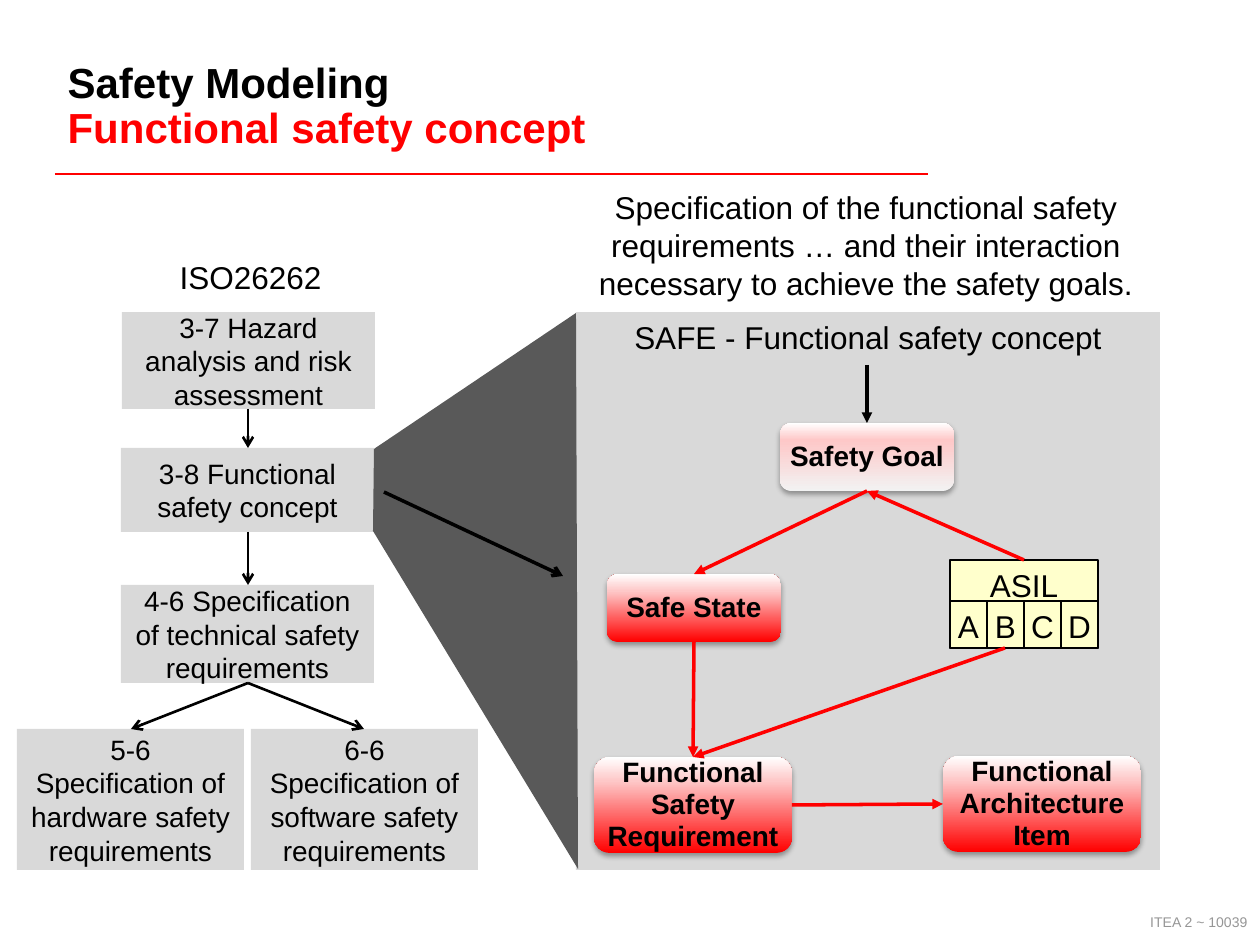
from lxml import etree
from pptx import Presentation
from pptx.dml.color import RGBColor
from pptx.enum.shapes import MSO_CONNECTOR, MSO_SHAPE
from pptx.enum.text import MSO_ANCHOR, PP_ALIGN
from pptx.oxml import parse_xml
from pptx.oxml.ns import qn
from pptx.util import Emu, Pt

RECT, ROUNDED = MSO_SHAPE.RECTANGLE, MSO_SHAPE.ROUNDED_RECTANGLE
STRAIGHT = MSO_CONNECTOR.STRAIGHT
TOP, MIDDLE, BOTTOM = MSO_ANCHOR.TOP, MSO_ANCHOR.MIDDLE, MSO_ANCHOR.BOTTOM
LEFT, CENTER, RIGHT = PP_ALIGN.LEFT, PP_ALIGN.CENTER, PP_ALIGN.RIGHT
DRAWING_NS = "http://schemas.openxmlformats.org/drawingml/2006/main"
PX = 914400 / 126  # EMU per px

THEME = {
    "font": "Arial",
    "black": "000000", "red": "FF0000", "panel": "D9D9D9", "beam": "595959",
    "asil": "FFFFCC", "footer": "969696", "pale": "F2F2F2", "pink": "FEC8C8", "white": "FFFFFF",
    "title": 24, "heading": 18, "label": 16, "small": 8,
}


def add_box(kind, place, text, size, fill=None, line=None, color="black",
            anchor=MIDDLE, align=CENTER, bold=False, wrap=True):
    """Add a shape, or a text box when kind is None, holding one run of text."""
    frame = [Emu(round(v * PX)) for v in place]
    if kind is None:
        box = page.shapes.add_textbox(*frame)
    else:
        box = page.shapes.add_shape(kind, *frame)
        box.shadow.inherit = False
        if fill:
            box.fill.solid()
            box.fill.fore_color.rgb = RGBColor.from_string(THEME[fill])
        if line:
            box.line.color.rgb = RGBColor.from_string(THEME[line])
            box.line.width = Pt(0.75)
        else:
            box.line.fill.background()
    box.text_frame.word_wrap = wrap
    box.text_frame.vertical_anchor = anchor
    para = box.text_frame.paragraphs[0]
    para.alignment = align
    span = para.add_run()
    span.text = text
    span.font.name, span.font.size, span.font.bold = THEME["font"], Pt(THEME[size]), bold
    span.font.color.rgb = RGBColor.from_string(THEME[color])
    return box


def add_line(start, end, color, width, head=None):
    """Add a straight line, with an arrowhead at its end when head is given."""
    line = page.shapes.add_connector(STRAIGHT, *[Emu(round(v * PX)) for v in start + end])
    line.line.color.rgb = RGBColor.from_string(THEME[color])
    line.line.width = Pt(width)
    if head:
        etree.SubElement(line.line._get_or_add_ln(), qn("a:tailEnd"), type=head)
    etree.SubElement(line._element.spPr, qn("a:effectLst"))


deck = Presentation()
deck.slide_width, deck.slide_height = Emu(round(1260 * PX)), Emu(round(945 * PX))
page = deck.slides.add_slide(deck.slide_layouts[5])

# Title, rule and footer
title = page.shapes.title
title.left, title.top, title.width, title.height = [Emu(round(v * PX)) for v in (55, 42, 871, 117)]
title.text_frame.word_wrap = True
title.text_frame.vertical_anchor = BOTTOM
para = title.text_frame.paragraphs[0]
para.alignment = LEFT
para.line_spacing = 0.9
for text, color in (("Safety Modeling", "black"), ("Functional safety concept", "red")):
    if para.runs:
        para.add_line_break()
    span = para.add_run()
    span.text = text
    span.font.name, span.font.size, span.font.bold = THEME["font"], Pt(THEME["title"]), True
    span.font.color.rgb = RGBColor.from_string(THEME[color])
add_line((55, 174), (928, 174), "red", 1.5)
add_box(None, (1095, 907, 165, 29), "ITEA 2 ~ 10039", "small",
        color="footer", anchor=BOTTOM, align=RIGHT)

# ISO26262 process steps
add_box(None, (166, 252, 169, 50), "ISO26262", "heading", anchor=TOP, wrap=False)
for place, text in (
    ((122, 312, 253, 97), "3-7 Hazard analysis and risk assessment"),
    ((121, 448, 253, 84), "3-8 Functional safety concept"),
    ((121, 585, 253, 98), "4-6 Specification of technical safety requirements"),
    ((17, 729, 227, 141), "5-6 Specification of hardware safety requirements"),
    ((251, 729, 227, 141), "6-6 Specification of software safety requirements"),
):
    add_box(RECT, place, text, "label", fill="panel")
for start, end in (
    ((248, 409), (248, 448)),
    ((248, 532), (248, 585)),
    ((248, 683), (131, 729)),
    ((248, 683), (364, 729)),
):
    add_line(start, end, "black", 1.5, "arrow")

# Concept panel, and the beam that opens into it
add_box(None, (570, 182, 592, 127),
        "Specification of the functional safety requirements … and their interaction "
        "necessary to achieve the safety goals.", "heading", anchor=TOP)
add_box(RECT, (576, 312, 584, 558), "SAFE - Functional safety concept", "heading",
        fill="panel", anchor=TOP)
outline = page.shapes.build_freeform(374, 449, scale=PX)
outline.add_line_segments([(576, 313), (578, 869), (373, 531)])
beam = outline.convert_to_shape()
beam.shadow.inherit = False
beam.fill.solid()
beam.fill.fore_color.rgb = RGBColor.from_string(THEME["beam"])
beam.line.fill.background()
add_line((384, 492), (563, 576), "black", 2, "arrow")

# Concept cards, shaded from the bottom up
for place, text, base in (
    ((780, 423, 174, 68), "Safety Goal", "pale"),
    ((607, 574, 174, 68), "Safe State", "red"),
    ((594, 757, 198, 96), "Functional Safety Requirement", "red"),
    ((943, 756, 198, 96), "Functional Architecture Item", "red"),
):
    card = add_box(ROUNDED, place, text, "label", bold=True)
    body = card.text_frame
    body.margin_left = body.margin_right = body.margin_top = body.margin_bottom = 0
    body.paragraphs[0].line_spacing = 0.95
    stops = "".join(
        f'<a:gs pos="{percent * 1000}"><a:srgbClr val="{THEME[tone]}"/></a:gs>'
        for percent, tone in ((0, base), (75, "pink"), (100, "white")))
    props = card._element.spPr
    props.find(qn("a:prstGeom")).addnext(parse_xml(
        f'<a:gradFill xmlns:a="{DRAWING_NS}" rotWithShape="1"><a:gsLst>{stops}</a:gsLst>'
        '<a:lin ang="16200000" scaled="0"/></a:gradFill>'))
    props.find(qn("a:effectLst")).append(parse_xml(
        f'<a:outerShdw xmlns:a="{DRAWING_NS}" blurRad="{Pt(3.1)}" dist="{Pt(1.8)}" '
        'dir="5400000" rotWithShape="0">'
        f'<a:srgbClr val="{THEME["black"]}"><a:alpha val="35000"/></a:srgbClr></a:outerShdw>'))

# ASIL levels
add_box(RECT, (950, 560, 148, 88), "ASIL", "heading", fill="asil", line="black",
        anchor=TOP, wrap=False)
for column, level in enumerate("ABCD"):
    add_box(RECT, (950 + 37 * column, 601, 37, 47), level, "heading", fill="asil",
            line="black", anchor=TOP, wrap=False)

# Relations between the concepts
for start, end, color in (
    ((867, 365), (867, 423), "black"),
    ((867, 491), (694, 574), "red"),
    ((694, 642), (693, 757), "red"),
    ((1024, 560), (867, 491), "red"),
    ((1005, 648), (693, 757), "red"),
    ((792, 805), (943, 804), "red"),
):
    add_line(start, end, color, 2, "triangle")

deck.save("out.pptx")
